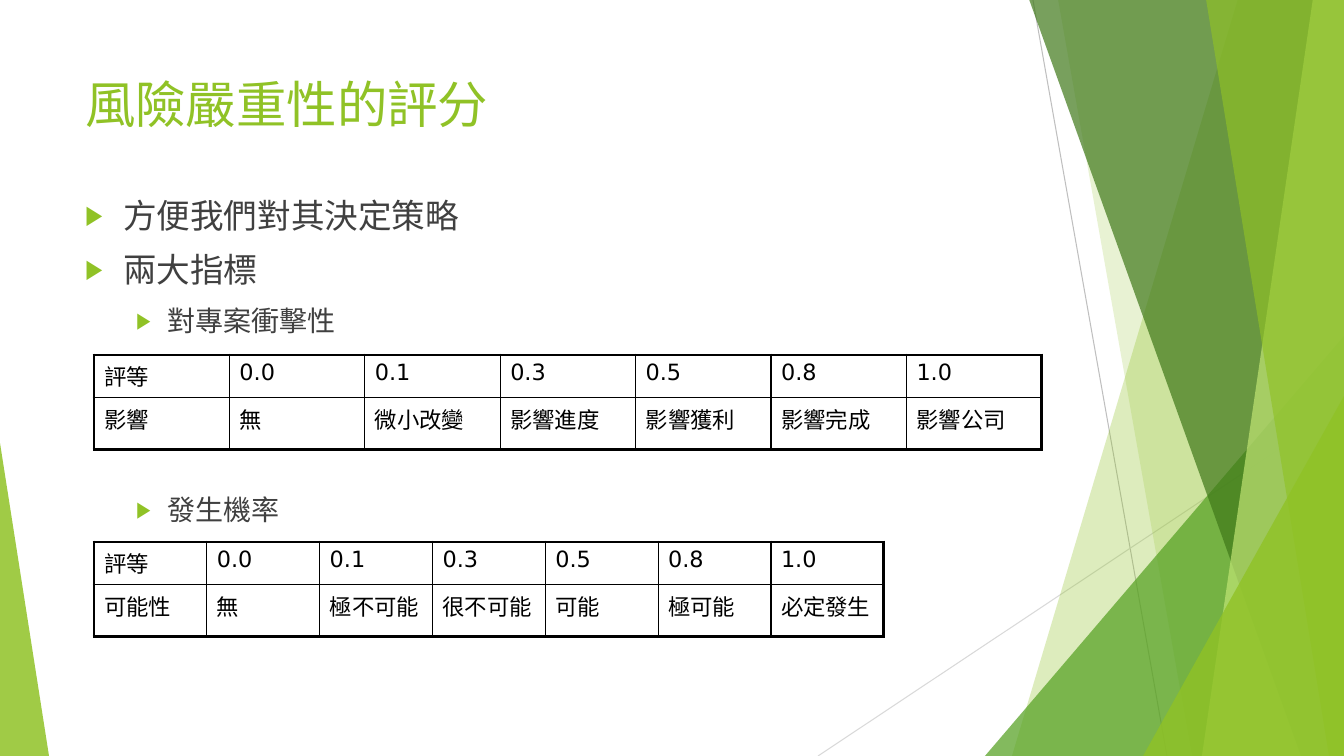
import pptx
import pptx.util
import pptx.dml.color
import pptx.enum.shapes
import pptx.enum.text
import pptx.oxml
import pptx.oxml.ns
from lxml import etree

SCALE = 914400 / 100.8
WIDE, HIGH = 1344, 756
LIME = "90C226"
GRADES = ["評等", "0.0", "0.1", "0.3", "0.5", "0.8", "1.0"]
IMPACT = ["影響", "無", "微小改變", "影響進度", "影響獲利", "影響完成", "影響公司"]
CHANCE = ["可能性", "無", "極不可能", "很不可能", "可能", "極可能", "必定發生"]
POINTS = [
    ("方便我們對其決定策略", 0, 0),
    ("兩大指標", 0, 10),
    ("對專案衝擊性", 1, 10),
    ("發生機率", 1, 111),
]
LEVELS = [
    {"size": 24, "left": 38, "hang": 38},
    {"size": 20, "left": 82, "hang": 31},
]
DECOR = [
    ("band", (1238, 1012), LIME, 30),
    ("band", (1058, 1192), LIME, 20),
    ("peak", (985, 336, 359, 420, 1), "54A021", 72),
    ("band", (1029, 1301), "3F7819", 70),
    ("band", (1313, 1202), "C0E474", 70),
    ("band", (1206, 1329), LIME, 65),
    ("peak", (1143, 396, 201, 360, 1), LIME, 80),
    ("peak", (0, 443, 49, 313, 0), LIME, 85),
]


def px(*nums):
    return [pptx.util.Emu(round(n * SCALE)) for n in nums]


def color(code):
    return pptx.dml.color.RGBColor.from_string(code)


def add(node, tag, **attrs):
    child = etree.SubElement(node, pptx.oxml.ns.qn(tag))
    for key, val in attrs.items():
        child.set(key, str(val))
    return child


def apply(item, **values):
    for key, val in values.items():
        setattr(item, key, val)


def write(par, text, size, font, code):
    run = par.add_run()
    run.text = text
    apply(run.font, size=pptx.util.Pt(size), name=font, bold=False)
    run.font.color.rgb = color(code)


def place(shape, box):
    left, top, width, height = px(*box)
    apply(shape, left=left, top=top, width=width, height=height)
    shape.element.getparent().append(shape.element)
    apply(
        shape.text_frame,
        word_wrap=True,
        auto_size=pptx.enum.text.MSO_AUTO_SIZE.NONE,
        vertical_anchor=pptx.enum.text.MSO_ANCHOR.TOP,
    )


def line(shapes, ends, code):
    link = shapes.add_connector(pptx.enum.shapes.MSO_CONNECTOR.STRAIGHT, *px(*ends))
    link.line.width = pptx.util.Pt(0.75)
    link.line.color.rgb = color(code)
    add(link.element.spPr, "a:effectLst")


def band(shapes, top, foot):
    start, *rest = [(top, -1), (WIDE, -1), (WIDE, HIGH), (foot, HIGH)]
    form = shapes.build_freeform(*px(*start), scale=1.0)
    form.add_line_segments([px(*spot) for spot in rest])
    return form.convert_to_shape()


def peak(shapes, left, top, width, height, tip):
    kind = pptx.enum.shapes.MSO_SHAPE.ISOSCELES_TRIANGLE
    shape = shapes.add_shape(kind, *px(left, top, width, height))
    shape.adjustments[0] = tip
    return shape


def decor(shapes):
    line(shapes, (1033, 0, 1167, HIGH), "BFBFBF")
    line(shapes, (WIDE, 406, 818, HIGH), "D9D9D9")
    makers = {"band": band, "peak": peak}
    for kind, args, code, alpha in DECOR:
        shape = makers[kind](shapes, *args)
        shape.shadow.inherit = False
        shape.line.fill.background()
        shape.fill.solid()
        shape.fill.fore_color.rgb = color(code)
        tint = shape.element.spPr.find(".//" + pptx.oxml.ns.qn("a:srgbClr"))
        add(tint, "a:alpha", val=alpha * 1000)


def title(shape, box):
    place(shape, box)
    par = shape.text_frame.paragraphs[0]
    par.alignment = pptx.enum.text.PP_ALIGN.LEFT
    write(par, "風險嚴重性的評分", 36, "Roboto", LIME)


def body(shape, box):
    place(shape, box)
    frame = shape.text_frame
    for num, (text, level, gap) in enumerate(POINTS):
        par = frame.add_paragraph() if num else frame.paragraphs[0]
        look = LEVELS[level]
        apply(par, level=level, space_before=pptx.util.Pt(gap))
        props = par._p.get_or_add_pPr()
        left, hang = px(look["left"], look["hang"])
        props.set("marL", str(left))
        props.set("indent", str(-hang))
        add(add(props, "a:buClr"), "a:srgbClr", val=LIME)
        add(props, "a:buSzPct", val=80000)
        add(props, "a:buChar", char="▶")
        write(par, text, look["size"], "Roboto", "404040")


def border(cell, sides):
    props = cell._tc.get_or_add_tcPr()
    for side, outer in sides.items():
        width = pptx.util.Pt(2.25 if outer else 1)
        edge = add(props, "a:ln" + side, w=width)
        add(add(edge, "a:solidFill"), "a:srgbClr", val="000000")


def table(shapes, box, data):
    rows, cols = len(data), len(data[0])
    grid = shapes.add_table(rows, cols, *px(*box)).table
    apply(grid, first_row=False, horz_banding=False)
    for row, tall in zip(grid.rows, px(42, box[3] - 42)):
        row.height = tall
    for r, texts in enumerate(data):
        for c, text in enumerate(texts):
            cell = grid.cell(r, c)
            border(cell, {"L": c == 0, "R": c == cols - 1,
                          "T": r == 0, "B": r == rows - 1})
            cell.fill.background()
            write(cell.text_frame.paragraphs[0], text, 16, "DejaVu Sans", "000000")


def main():
    deck = pptx.Presentation()
    wide, high = px(WIDE, HIGH)
    apply(deck, slide_width=wide, slide_height=high)
    slide = deck.slides.add_slide(deck.slide_layouts[1])
    shapes = slide.shapes
    decor(shapes)
    title(shapes.title, (75, 68, 948, 145))
    body(slide.placeholders[1], (75, 190, 901, 499))
    table(shapes, (94, 355, 948, 94), [GRADES, IMPACT])
    table(shapes, (94, 542, 790, 94), [GRADES, CHANCE])
    deck.save("out.pptx")


if __name__ == "__main__":
    main()
